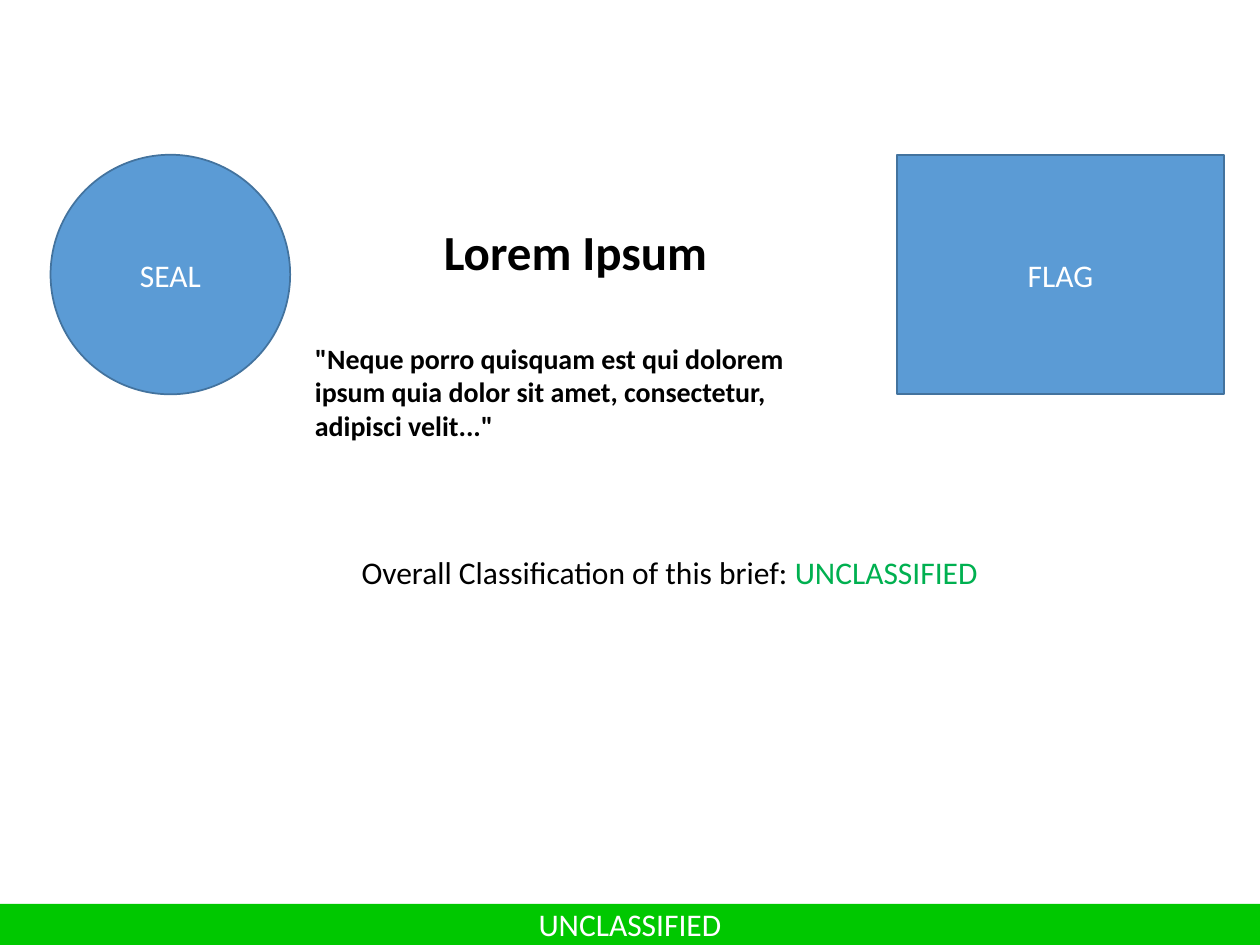
from pptx import Presentation
from pptx.dml.color import RGBColor
from pptx.enum.shapes import MSO_SHAPE
from pptx.enum.text import MSO_ANCHOR, PP_ALIGN
from pptx.util import Cm, Pt

LEFT, CENTER = PP_ALIGN.LEFT, PP_ALIGN.CENTER
TOP, MIDDLE = MSO_ANCHOR.TOP, MSO_ANCHOR.MIDDLE
OVAL, RECTANGLE = MSO_SHAPE.OVAL, MSO_SHAPE.RECTANGLE
TITLE_ONLY = 5

THEME = {
    "font": "Calibri",
    "white": RGBColor(0xFF, 0xFF, 0xFF),
    "black": RGBColor(0x00, 0x00, 0x00),
    "emblem": RGBColor(0x5B, 0x9B, 0xD5),
    "outline": RGBColor(0x43, 0x73, 0x9E),
    "marking": RGBColor(0x00, 0xB0, 0x50),
    "banner": RGBColor(0x00, 0xC8, 0x00),
    "title_size": Pt(28),
    "quote_size": Pt(16),
    "body_size": Pt(18),
}

SLIDE_WIDTH, SLIDE_HEIGHT = 25.4, 19.05
BANNER_HEIGHT = 0.83
BANNER_BOX = (0, SLIDE_HEIGHT - BANNER_HEIGHT, SLIDE_WIDTH, BANNER_HEIGHT)

# Boxes are left, top, width, height in centimetres.
TITLE, TITLE_BOX = "Lorem Ipsum", (6.1, 4.34, 11, 1.45)
QUOTE = ('"Neque porro quisquam est qui dolorem ipsum quia dolor sit amet, '
         'consectetur, adipisci velit..."')
QUOTE_BOX = (6.1, 6.75, 11, 2.32)
MARKING = "UNCLASSIFIED"
CLASSIFICATION = [("Overall Classification of this brief: ", "black"),
                  (MARKING, "marking")]
CLASSIFICATION_BOX = (7.04, 11.02, 13.08, 1.02)
FILLED_SHAPES = [
    ("SEAL", OVAL, (1.02, 3.12, 4.83, 4.83), "emblem", "outline"),
    ("FLAG", RECTANGLE, (18.08, 3.12, 6.6, 4.83), "emblem", "outline"),
    (MARKING, RECTANGLE, BANNER_BOX, "banner", None),
]


def to_lengths(box):
    return [Cm(value) for value in box]


def write_text(shape, runs, size, bold=False, align=LEFT, anchor=TOP, wrap=True):
    """Fill a shape with one paragraph of (text, colour name) runs."""
    frame = shape.text_frame
    frame.word_wrap = wrap
    frame.vertical_anchor = anchor
    frame.margin_left = frame.margin_right = Cm(0.25)
    frame.margin_top = frame.margin_bottom = Cm(0.13)
    paragraph = frame.paragraphs[0]
    paragraph.alignment = align
    paragraph.line_spacing = 1.0
    paragraph.space_before = Pt(0)
    for text, color in runs:
        run = paragraph.add_run()
        run.text = text
        run.font.name = THEME["font"]
        run.font.size = THEME[size]
        run.font.bold = bold
        run.font.color.rgb = THEME[color]


def add_filled_shape(slide, label, kind, box, fill, outline):
    shape = slide.shapes.add_shape(kind, *to_lengths(box))
    shape.shadow.inherit = False
    shape.fill.solid()
    shape.fill.fore_color.rgb = THEME[fill]
    if outline:
        shape.line.color.rgb = THEME[outline]
        shape.line.width = Pt(1)
    else:
        shape.line.fill.background()
    write_text(shape, [(label, "white")], "body_size", align=CENTER, anchor=MIDDLE)


def main():
    presentation = Presentation()
    presentation.slide_width = Cm(SLIDE_WIDTH)
    presentation.slide_height = Cm(SLIDE_HEIGHT)
    slide = presentation.slides.add_slide(presentation.slide_layouts[TITLE_ONLY])

    title = slide.shapes.title
    title.left, title.top, title.width, title.height = to_lengths(TITLE_BOX)
    write_text(title, [(TITLE, "black")], "title_size", bold=True, align=CENTER)

    for filled_shape in FILLED_SHAPES:
        add_filled_shape(slide, *filled_shape)

    quote = slide.shapes.add_textbox(*to_lengths(QUOTE_BOX))
    write_text(quote, [(QUOTE, "black")], "quote_size", bold=True)
    classification = slide.shapes.add_textbox(*to_lengths(CLASSIFICATION_BOX))
    write_text(classification, CLASSIFICATION, "body_size", wrap=False)

    presentation.save("out.pptx")


if __name__ == "__main__":
    main()
